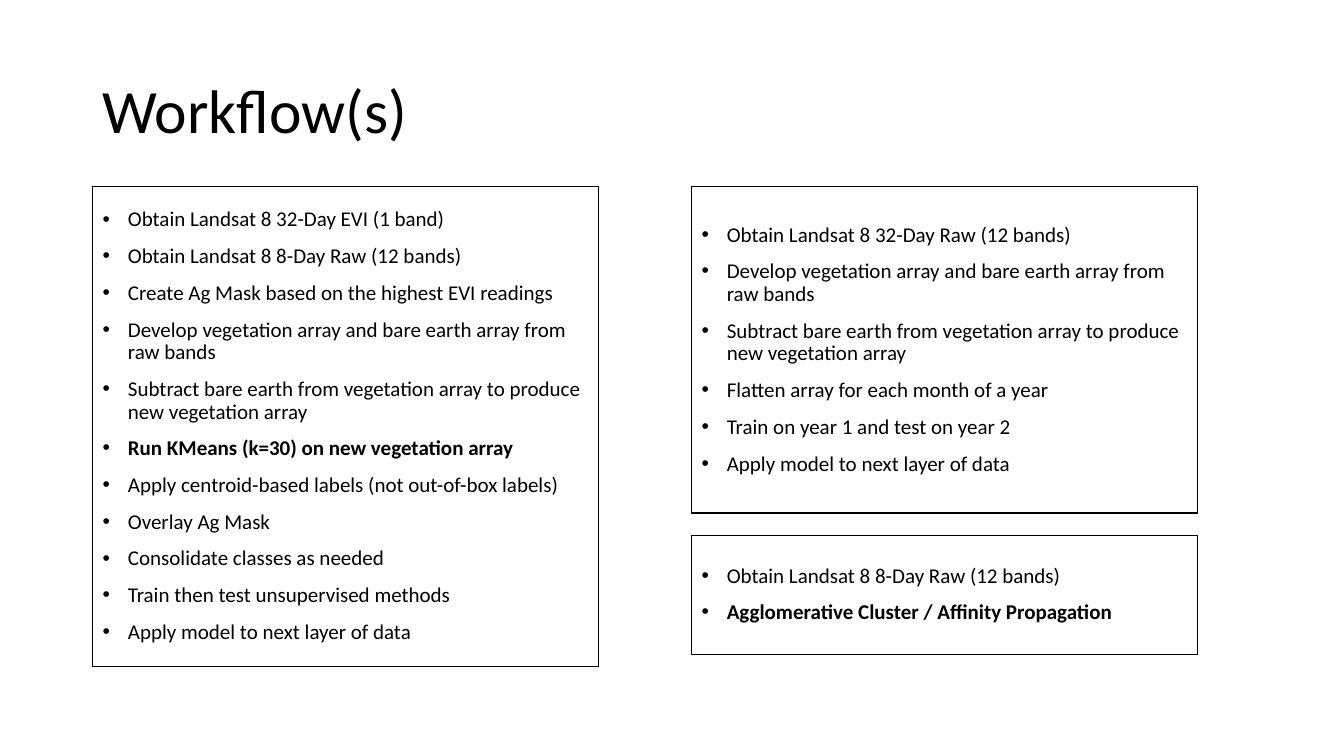
from lxml import etree
from pptx import Presentation
from pptx.dml.color import RGBColor
from pptx.enum import shapes, text
from pptx.oxml import ns
from pptx.util import Inches, Pt

BLACK = RGBColor(0x00, 0x00, 0x00)
FONT = "Calibri"
LEFT, TOP = 0.92, 1.85
PANEL_WIDTH = 5.02
RIGHT = 6.86

DEVELOP = "Develop vegetation array and bare earth array from raw bands"
SUBTRACT = "Subtract bare earth from vegetation array to produce new vegetation array"
RAW_8_DAY = "Obtain Landsat 8 8-Day Raw (12 bands)"
APPLY_MODEL = "Apply model to next layer of data"
KMEANS = "Run KMeans (k=30) on new vegetation array"
CLUSTERING = "Agglomerative Cluster / Affinity Propagation"
KEY_STEPS = {KMEANS, CLUSTERING}

MASK_WORKFLOW = [
    "Obtain Landsat 8 32-Day EVI (1 band)",
    RAW_8_DAY,
    "Create Ag Mask based on the highest EVI readings",
    DEVELOP,
    SUBTRACT,
    KMEANS,
    "Apply centroid-based labels (not out-of-box labels)",
    "Overlay Ag Mask",
    "Consolidate classes as needed",
    "Train then test unsupervised methods",
    APPLY_MODEL,
]
YEARLY_WORKFLOW = [
    "Obtain Landsat 8 32-Day Raw (12 bands)",
    DEVELOP,
    SUBTRACT,
    "Flatten array for each month of a year",
    "Train on year 1 and test on year 2",
    APPLY_MODEL,
]
CLUSTER_WORKFLOW = [RAW_8_DAY, CLUSTERING]


def add_bullet(paragraph):
    properties = paragraph._p.get_or_add_pPr()
    properties.set("marL", str(Inches(0.25)))
    properties.set("indent", str(-Inches(0.25)))
    font = etree.SubElement(properties, ns.qn("a:buFont"))
    font.set("typeface", "Arial")
    bullet = etree.SubElement(properties, ns.qn("a:buChar"))
    bullet.set("char", "•")


def write_text(frame, lines, size, bulleted=False, bold_lines=()):
    """Fill a frame with one left-aligned paragraph per line."""
    frame.word_wrap = True
    frame.vertical_anchor = text.MSO_ANCHOR.MIDDLE
    for index, line in enumerate(lines):
        paragraph = frame.paragraphs[0] if index == 0 else frame.add_paragraph()
        if bulleted:
            add_bullet(paragraph)
        paragraph.alignment = text.PP_ALIGN.LEFT
        paragraph.line_spacing = 0.9
        if index:
            paragraph.space_before = Pt(10)
        run = paragraph.add_run()
        run.text = line
        run.font.name = FONT
        run.font.size = Pt(size)
        run.font.bold = line in bold_lines
        run.font.color.rgb = BLACK


def add_title(slide, left, top, width, height):
    title = slide.shapes.add_textbox(*map(Inches, (left, top, width, height)))
    write_text(title.text_frame, ["Workflow(s)"], size=44)


def add_workflow(slide, steps, left, top, width, height):
    """Draw an outlined panel that lists the steps of one workflow."""
    panel = slide.shapes.add_shape(
        shapes.MSO_SHAPE.RECTANGLE, *map(Inches, (left, top, width, height)))
    panel.shadow.inherit = False
    panel.fill.background()
    panel.line.color.rgb = BLACK
    panel.line.width = Pt(0.75)
    write_text(panel.text_frame, steps, size=15, bulleted=True, bold_lines=KEY_STEPS)


def main():
    deck = Presentation()
    deck.slide_width, deck.slide_height = Inches(13.33), Inches(7.5)
    slide = deck.slides.add_slide(deck.slide_layouts[6])
    add_title(slide, LEFT, 0.4, 11.5, 1.45)
    add_workflow(slide, MASK_WORKFLOW, LEFT, TOP, PANEL_WIDTH, 4.76)
    add_workflow(slide, YEARLY_WORKFLOW, RIGHT, TOP, PANEL_WIDTH, 3.24)
    add_workflow(slide, CLUSTER_WORKFLOW, RIGHT, 5.31, PANEL_WIDTH, 1.18)
    deck.save("out.pptx")


if __name__ == "__main__":
    main()
